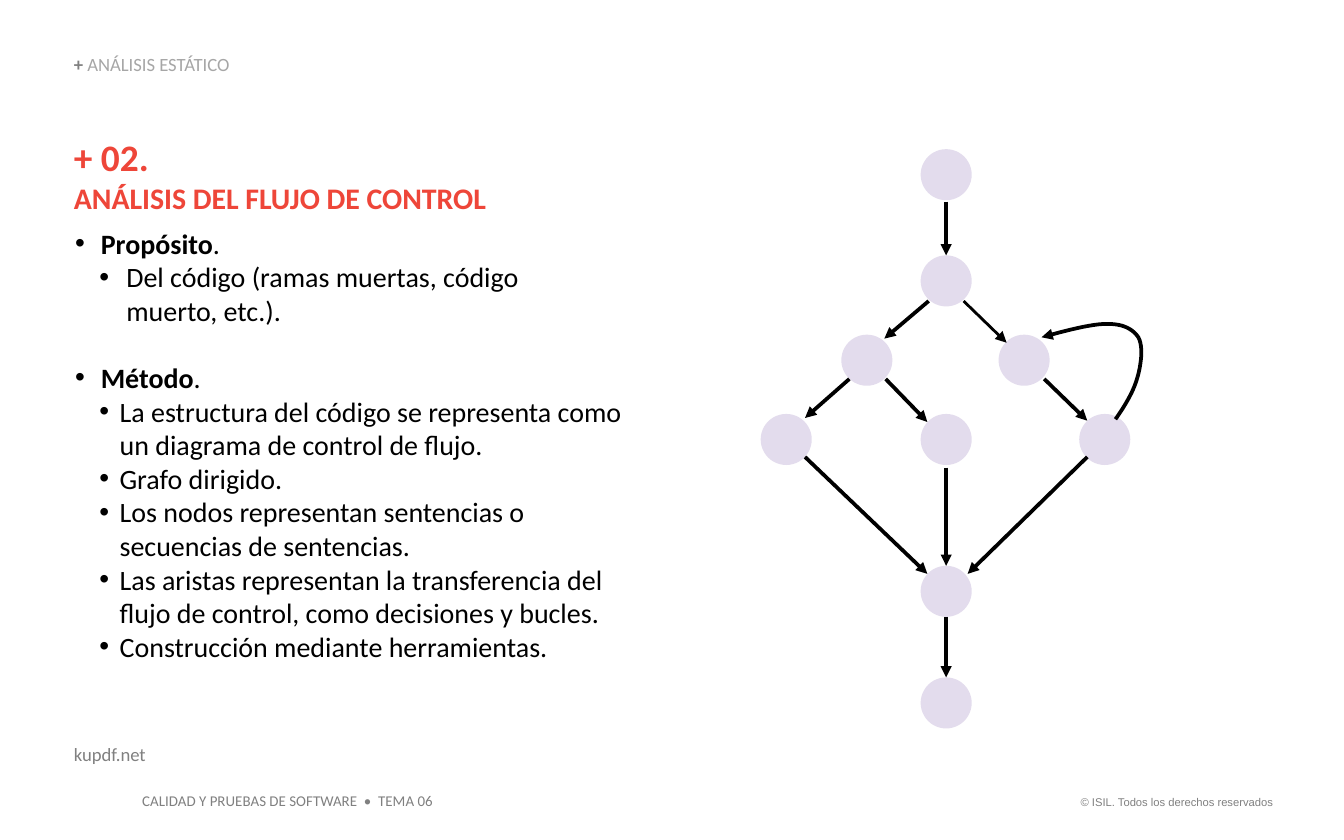
from lxml.etree import SubElement
from pptx import Presentation
from pptx.dml.color import RGBColor
from pptx.enum.shapes import MSO_CONNECTOR, MSO_SHAPE
from pptx.enum.text import MSO_ANCHOR, PP_ALIGN
from pptx.oxml.ns import qn
from pptx.util import Pt

PX = 9144  # 100 px to the inch
GREY, RED, BLACK, LILAC = "808080", "EE4639", "000000", "E3DCED"


def format_run(run, size, color, bold=False, font="Calibri"):
    run.font.name = font
    run.font.size = Pt(size)
    run.font.bold = bold
    run.font.color.rgb = RGBColor.from_string(color)


def add_text_box(left, top, width, height, text="", wrap=True):
    box = slide.shapes.add_textbox(left * PX, top * PX, width * PX, height * PX)
    frame = box.text_frame
    frame.word_wrap = wrap
    if wrap:
        frame.margin_left = frame.margin_top = frame.margin_right = frame.margin_bottom = 0
    frame.text = text
    return frame


presentation = Presentation()
presentation.slide_width = 1000 * PX
presentation.slide_height = 625 * PX
slide = presentation.slides.add_slide(presentation.slide_layouts[6])

# Footer
frame = add_text_box(788, 587, 169, 20, "© ISIL. Todos los derechos reservados", wrap=False)
frame.paragraphs[0].alignment = PP_ALIGN.RIGHT
format_run(frame.paragraphs[0].runs[0], 6, GREY, font="Arial")
frame = add_text_box(96, 584, 237, 24, "CALIDAD Y PRUEBAS DE SOFTWARE  •  TEMA 06", wrap=False)
format_run(frame.paragraphs[0].runs[0], 8, GREY)
frame = add_text_box(55, 553, 188, 17, "kupdf.net")
format_run(frame.paragraphs[0].runs[0], 10, GREY)

# Section header
frame = add_text_box(55, 41, 361, 15, "+ ")
frame.vertical_anchor = MSO_ANCHOR.BOTTOM
paragraph = frame.paragraphs[0]
paragraph.line_spacing = 0.9
format_run(paragraph.runs[0], 10, GREY, bold=True)
section = paragraph.add_run()
section.text = "ANÁLISIS ESTÁTICO"
format_run(section, 10, "A6A6A6")

# Graph nodes, by centre
DIAMETER = 38
nodes = [(704, 130), (704, 209), (645, 268), (762, 268), (585, 327),
         (704, 327), (822, 327), (704, 440), (704, 523)]
for x, y in nodes:
    node = slide.shapes.add_shape(MSO_SHAPE.OVAL, (x - DIAMETER // 2) * PX,
                                  (y - DIAMETER // 2) * PX, DIAMETER * PX, DIAMETER * PX)
    node.shadow.inherit = False
    node.fill.solid()
    node.fill.fore_color.rgb = RGBColor.from_string(LILAC)
    node.line.fill.background()

# Graph edges: start, end, line width
edges = [
    (704, 150, 704, 190, 2), (691, 224, 658, 252, 2), (632, 282, 599, 311, 2),
    (717, 224, 749, 255, 1.5), (777, 282, 809, 313, 2), (659, 282, 690, 314, 2),
    (599, 340, 690, 427, 2), (809, 340, 720, 427, 2), (704, 348, 704, 421, 2),
    (704, 459, 704, 504, 2),
]
arrows = []
for x1, y1, x2, y2, width in edges:
    edge = slide.shapes.add_connector(MSO_CONNECTOR.STRAIGHT, x1 * PX, y1 * PX, x2 * PX, y2 * PX)
    arrows.append((edge, width))

# Loop edge: three Bezier curves drawn in short steps
STEPS = 12
start = (830, 312)
curves = [[(837, 302), (843, 292), (846, 282)],
          [(849, 272), (851, 258), (847, 251)],
          [(843, 245), (836, 241), (824, 241)],
          [(812, 241), (793, 246), (775, 251)]]
builder = slide.shapes.build_freeform(start[0] * PX, start[1] * PX)
for control_1, control_2, end in curves:
    points = []
    for step in range(1, STEPS + 1):
        t = step / STEPS
        weights = ((1 - t) ** 3, 3 * t * (1 - t) ** 2, 3 * t * t * (1 - t), t ** 3)
        corners = (start, control_1, control_2, end)
        points.append(tuple(PX * sum(w * c[axis] for w, c in zip(weights, corners))
                            for axis in (0, 1)))
    builder.add_line_segments(points, close=False)
    start = end
loop = builder.convert_to_shape()
loop.fill.background()
arrows.append((loop, 2))

for arrow, width in arrows:
    arrow.line.color.rgb = RGBColor.from_string(BLACK)
    arrow.line.width = Pt(width)
    SubElement(arrow.line._get_or_add_ln(), qn("a:tailEnd"), type="triangle")
    SubElement(arrow._element.spPr, qn("a:effectLst"))

# Title
frame = add_text_box(55, 100, 425, 397, "+ 02.\vANÁLISIS DEL FLUJO DE CONTROL")
title = frame.paragraphs[0]
title.space_after = Pt(6)
for run, size in zip(title.runs, (20, 16)):
    format_run(run, size, RED, bold=True)

# Bullets: level, left margin, hanging indent, space before, text
bullets = [
    (0, 20, 19, 0, "Propósito"),
    (1, 39, 20, 0, "Del código (ramas muertas, código\vmuerto, etc.)."),
    (0, 20, 19, 18, "Método"),
    (1, 34, 15, 0, "La estructura del código se representa como un diagrama de control de flujo."),
    (1, 34, 15, 0, "Grafo dirigido."),
    (2, 34, 15, 0, "Los nodos representan sentencias o secuencias de sentencias."),
    (2, 34, 15, 0, "Las aristas representan la transferencia del flujo de control, "
                   "como decisiones y bucles."),
    (2, 34, 15, 0, "Construcción mediante herramientas."),
]
for level, margin, hanging, space, text in bullets:
    paragraph = frame.add_paragraph()
    paragraph.text = text
    paragraph.level = level
    paragraph.space_before = Pt(space)
    properties = paragraph._p.get_or_add_pPr()
    properties.set("marL", str(margin * PX))
    properties.set("indent", str(-hanging * PX))
    bullet_color = SubElement(properties, qn("a:buClr"))
    SubElement(bullet_color, qn("a:srgbClr"), val=BLACK)
    SubElement(properties, qn("a:buFont"), typeface="Arial")
    SubElement(properties, qn("a:buChar"), char="•")
    for run in paragraph.runs:
        format_run(run, 15, BLACK, bold=level == 0)
    if level == 0:
        period = paragraph.add_run()
        period.text = "."
        format_run(period, 15, BLACK)
    for line_break in paragraph._p.findall(qn("a:br")):
        SubElement(line_break, qn("a:rPr"), sz="1500")

presentation.save("out.pptx")
